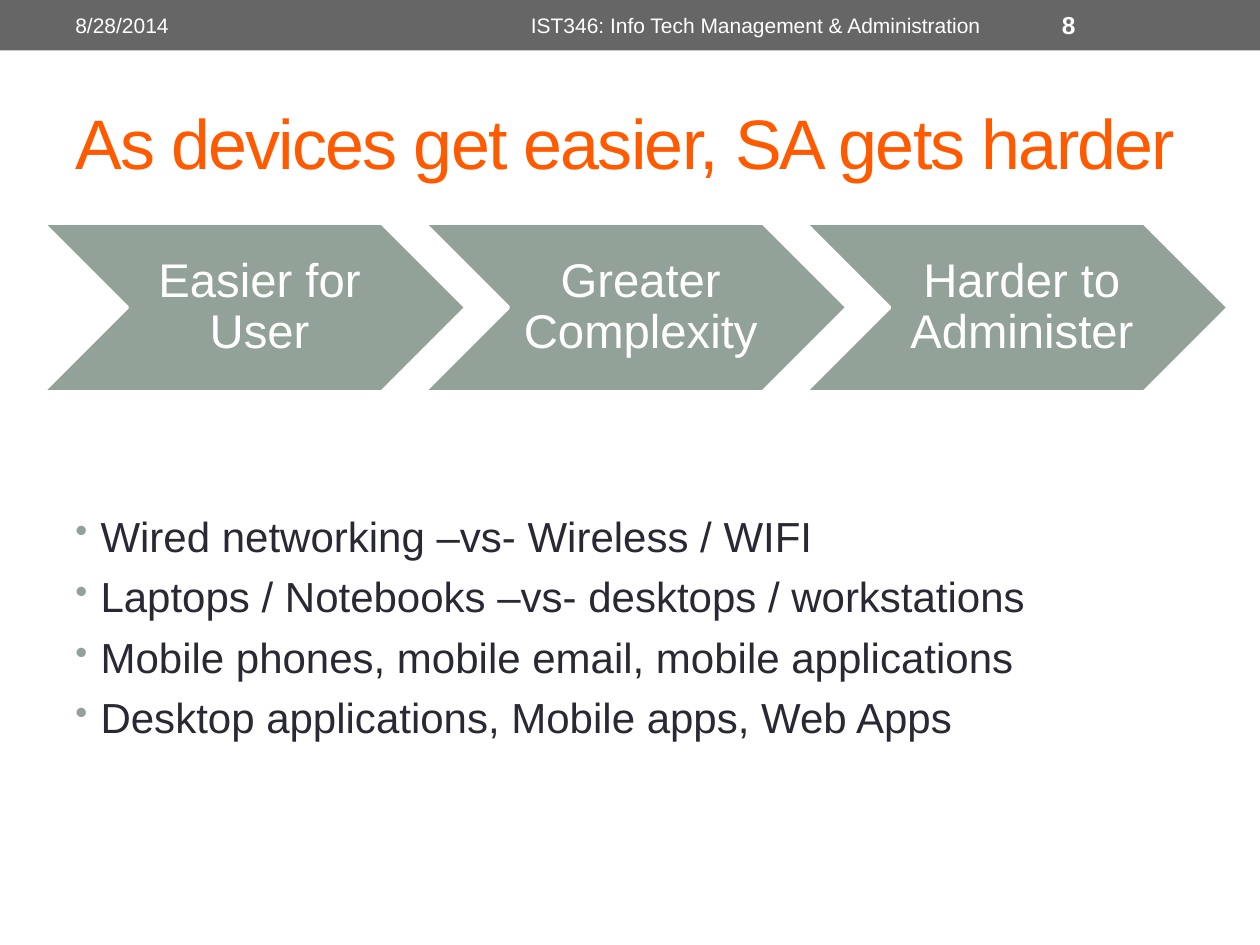
from dataclasses import dataclass, field

import pptx
import pptx.dml.color
import pptx.enum.shapes
import pptx.enum.text
import pptx.oxml
import pptx.oxml.ns
import pptx.util
from lxml import etree

Inches = pptx.util.Inches
Pt = pptx.util.Pt
Color = pptx.dml.color.RGBColor
Align = pptx.enum.text.PP_ALIGN
Anchor = pptx.enum.text.MSO_ANCHOR
Shape = pptx.enum.shapes.MSO_SHAPE


@dataclass(frozen=True)
class Theme:
    font: str = "Arial"
    bar: str = "666666"
    accent: str = "93A299"
    title: str = "FF5A00"
    body: str = "292934"
    light: str = "FFFFFF"
    title_size: float = 40
    step_size: float = 27
    body_size: float = 24
    number_size: float = 14
    header_size: float = 12


@dataclass(frozen=True)
class Area:
    left: float
    top: float
    width: float
    height: float

    def lengths(self) -> list:
        return [Inches(v) for v in (self.left, self.top, self.width, self.height)]


@dataclass(frozen=True)
class Label:
    area: Area
    lines: tuple[str, ...]
    size: float
    color: str
    bold: bool = False
    anchor: Anchor = Anchor.MIDDLE
    insets: tuple[float, ...] = (0.1, 0.05, 0.1, 0.05)
    bullet: bool = False
    tracking: int = 0  # hundredths of a point
    para_format: dict = field(default_factory=dict)


THEME = Theme()


def set_all(target, values: dict) -> None:
    for name, value in values.items():
        setattr(target, name, value)


def add_bullet(para) -> None:
    properties = para._p.get_or_add_pPr()
    properties.set("marL", str(Inches(0.2)))
    properties.set("indent", str(Inches(-0.2)))
    tag = pptx.oxml.ns.qn
    color = etree.SubElement(properties, tag("a:buClr"))
    etree.SubElement(color, tag("a:srgbClr"), val=THEME.accent)
    etree.SubElement(properties, tag("a:buSzPct"), val="85000")
    etree.SubElement(properties, tag("a:buChar"), char="•")


def add_label(page, label: Label) -> None:
    frame = page.shapes.add_textbox(*label.area.lengths()).text_frame
    sides = ("margin_left", "margin_top", "margin_right", "margin_bottom")
    set_all(frame, {"word_wrap": True, "vertical_anchor": label.anchor,
                    **dict(zip(sides, map(Inches, label.insets)))})
    for index, line in enumerate(label.lines):
        para = frame.add_paragraph() if index else frame.paragraphs[0]
        set_all(para, label.para_format)
        if label.bullet:
            add_bullet(para)
            if index:
                para.space_before = Pt(5.8)
        span = para.add_run()
        span.text = line
        set_all(span.font, {"name": THEME.font, "size": Pt(label.size),
                            "bold": label.bold})
        span.font.color.rgb = Color.from_string(label.color)
        if label.tracking:
            span._r.get_or_add_rPr().set("spc", str(label.tracking))


def add_box(page, kind: Shape, area: Area, fill: str, outline: float = 0) -> None:
    box = page.shapes.add_shape(kind, *area.lengths())
    box.shadow.inherit = False
    box.fill.solid()
    box.fill.fore_color.rgb = Color.from_string(fill)
    if outline:
        box.line.color.rgb = Color.from_string(THEME.light)
        box.line.width = Pt(outline)
    else:
        box.line.fill.background()


def add_step(page, index: int, text: str) -> None:
    left, top, width, height = 0.34 + index * 3.025, 1.77, 3.36, 1.34
    add_box(page, Shape.CHEVRON, Area(left, top, width, height), THEME.accent, 2.08)
    add_label(page, Label(
        Area(left + height / 2, top, width - height, height), (text,),
        THEME.step_size, THEME.light, insets=(0.12, 0.04, 0.04, 0.04),
        para_format={"alignment": Align.CENTER, "line_spacing": 0.9}))


def main() -> None:
    deck = pptx.Presentation()
    set_all(deck, {"slide_width": Inches(10), "slide_height": Inches(7.5)})
    page = deck.slides.add_slide(deck.slide_layouts[6])

    # Header bar
    add_box(page, Shape.RECTANGLE, Area(0, 0, 10, 0.4), THEME.bar)

    # Bullets and title
    add_label(page, Label(
        Area(0.5, 4, 9, 3.08),
        ("Wired networking –vs- Wireless / WIFI",
         "Laptops / Notebooks –vs- desktops / workstations",
         "Mobile phones, mobile email, mobile applications",
         "Desktop applications, Mobile apps, Web Apps"),
        THEME.body_size, THEME.body, anchor=Anchor.TOP, bullet=True))
    add_label(page, Label(
        Area(0.5, 0.58, 9, 1.08), ("As devices get easier, SA gets harder",),
        THEME.title_size, THEME.title, tracking=-100))

    # Chevron process
    for index, text in enumerate(
            ("Easier for User", "Greater Complexity", "Harder to Administer")):
        add_step(page, index, text)

    # Date, page number and course name
    add_label(page, Label(Area(0.5, 0.02, 3.17, 0.36), ("8/28/2014",),
                          THEME.header_size, THEME.light))
    add_label(page, Label(Area(8.33, 0.02, 1.17, 0.36), ("8",),
                          THEME.number_size, THEME.light, bold=True))
    add_label(page, Label(
        Area(3.75, 0.02, 4.5, 0.36),
        ("IST346: Info Tech Management & Administration",),
        THEME.header_size, THEME.light,
        para_format={"alignment": Align.CENTER}))

    deck.save("out.pptx")


if __name__ == "__main__":
    main()
